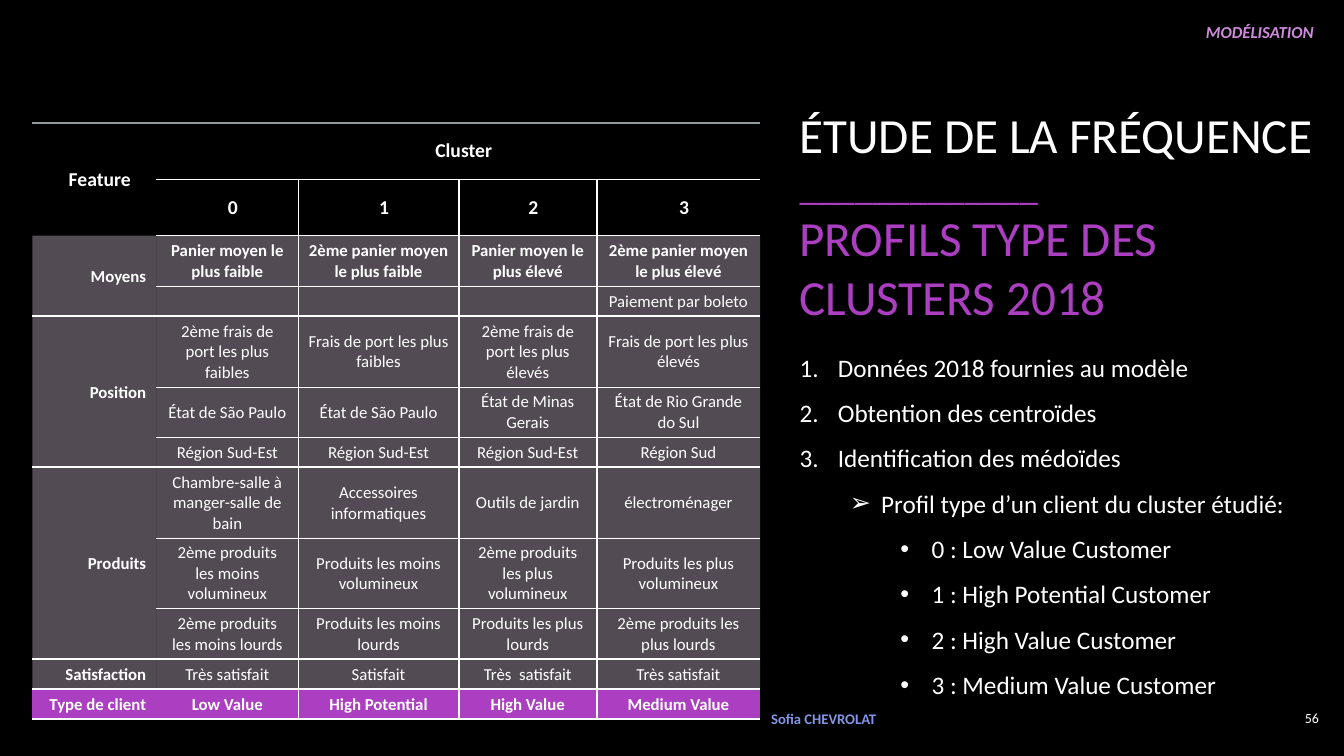
from lxml import etree
from pptx import Presentation
from pptx import util as u
from pptx.dml.color import RGBColor
from pptx.enum import text
from pptx.oxml import ns

Inches, Pt = u.Inches, u.Pt
FONT = "Calibri"
BLACK = RGBColor(0x00, 0x00, 0x00)
WHITE = RGBColor(0xFF, 0xFF, 0xFF)
PURPLE = RGBColor(0xAC, 0x3E, 0xC1)
LILAC = RGBColor(0xCD, 0x8B, 0xDA)
PALE = RGBColor(0xEE, 0xD8, 0xF3)
BLUE = RGBColor(0x83, 0x94, 0xE4)
GREY = RGBColor(0x8F, 0x9A, 0x9D)
LEFT, CENTER, RIGHT = text.PP_ALIGN.LEFT, text.PP_ALIGN.CENTER, text.PP_ALIGN.RIGHT
MIDDLE, TOP = text.MSO_ANCHOR.MIDDLE, text.MSO_ANCHOR.TOP
NO_GRID = "{2D5ABB26-0587-4C30-8999-92F81FD0307C}"
HEAVY, THIN = 1.5, 0.25

COLUMNS = [1.23, 1.41, 1.59, 1.37, 1.62]
HEIGHTS = [0.56, 0.55, 0.5, 0.3, 0.7, 0.5, 0.3, 0.7, 0.7, 0.5, 0.3, 0.3]
ROWS = [
    ["Feature", "Cluster", "", "", ""],
    ["", "0", "1", "2", "3"],
    ["Moyens", "Panier moyen le plus faible", "2ème panier moyen le plus faible",
     "Panier moyen le plus élevé", "2ème panier moyen le plus élevé"],
    ["", "", "", "", "Paiement par boleto"],
    ["Position", "2ème frais de port les plus faibles", "Frais de port les plus faibles",
     "2ème frais de port les plus élevés", "Frais de port les plus élevés"],
    ["", "État de São Paulo", "État de São Paulo", "État de Minas Gerais",
     "État de Rio Grande do Sul"],
    ["", "Région Sud-Est", "Région Sud-Est", "Région Sud-Est", "Région Sud"],
    ["Produits", "Chambre-salle à manger-salle de bain", "Accessoires informatiques",
     "Outils de jardin", "électroménager"],
    ["", "2ème produits les moins volumineux", "Produits les moins volumineux",
     "2ème produits les plus volumineux", "Produits les plus volumineux"],
    ["", "2ème produits les moins lourds", "Produits les moins lourds",
     "Produits les plus lourds", "2ème produits les plus lourds"],
    ["Satisfaction", "Très satisfait", "Satisfait", "Très  satisfait", "Très satisfait"],
    ["Type de client", "Low Value", "High Potential", "High Value", "Medium Value"],
]
MERGES = [((0, 0), (1, 0)), ((0, 1), (0, 4)), ((2, 0), (3, 0)),
          ((4, 0), (6, 0)), ((7, 0), (9, 0))]
GROUP_ENDS = {3, 6, 9, 10, 11}
HEADER_ROWS, LAST_ROW, LAST_COLUMN = 2, len(ROWS) - 1, len(COLUMNS) - 1

STEPS = ["Données 2018 fournies au modèle", "Obtention des centroïdes",
         "Identification des médoïdes"]
PROFILES = ["0 : Low Value Customer", "1 : High Potential Customer",
            "2 : High Value Customer", "3 : Medium Value Customer"]


def add_span(para, words, size, color, bold=False, italic=False):
    span = para.add_run()
    span.text = words
    font = span.font
    font.name, font.size, font.bold, font.italic = FONT, Pt(size), bold, italic
    font.color.rgb = color


def place(box, left, top, width, height, anchor):
    box.left, box.top = Inches(left), Inches(top)
    box.width, box.height = Inches(width), Inches(height)
    frame = box.text_frame
    frame.word_wrap = True
    frame.auto_size = text.MSO_AUTO_SIZE.NONE
    frame.vertical_anchor = anchor
    return frame


def add_label(page, words, area, size, color, align=LEFT, anchor=MIDDLE, **style):
    box = page.shapes.add_textbox(0, 0, 0, 0)
    para = place(box, *area, anchor).paragraphs[0]
    para.alignment = align
    add_span(para, words, size, color, **style)


def fill_title(title):
    frame = place(title, 7.83, 0.69, 5.31, 2.89, MIDDLE)
    heading, subject = frame.paragraphs[0], frame.add_paragraph()
    heading.alignment = subject.alignment = LEFT
    add_span(heading, "ÉTUDE DE LA FRÉQUENCE", 35.1, WHITE)
    heading.add_line_break()
    line_break = heading._p.find(ns.qn("a:br"))
    etree.SubElement(line_break, ns.qn("a:rPr"), sz="3510")
    add_span(heading, "_" * 13, 26.3, PURPLE)
    add_span(subject, "PROFILS TYPE DES CLUSTERS 2018", 35.1, PURPLE)


def add_item(para, words, level, margin, hanging, tag, **bullet):
    para.level = level
    props = para._p.get_or_add_pPr()
    props.set("marL", str(Inches(margin)))
    props.set("indent", str(-Inches(hanging)))
    etree.SubElement(props, ns.qn(tag), **bullet)
    para.line_spacing = 1.5
    para.space_before = Pt(0)
    para.alignment = LEFT
    add_span(para, words, 18, WHITE)


def fill_body(body):
    frame = place(body, 7.83, 3.29, 5.23, 3.69, TOP)
    for index, step in enumerate(STEPS):
        para = frame.add_paragraph() if index else frame.paragraphs[0]
        add_item(para, step, 0, 0.38, 0.38, "a:buAutoNum", type="arabicPeriod")
    add_item(frame.add_paragraph(), "Profil type d’un client du cluster étudié:",
             1, 0.81, 0.31, "a:buChar", char="➢")
    for profile in PROFILES:
        add_item(frame.add_paragraph(), profile, 2, 1.31, 0.31, "a:buChar", char="•")


def add_alpha(color_element, percent):
    etree.SubElement(color_element, ns.qn("a:alpha"), val=str(percent * 1000))


def add_border(cell, side, width, color=WHITE, opacity=100):
    props = cell._tc.get_or_add_tcPr()
    line = etree.SubElement(props, ns.qn("a:ln" + side), w=str(Pt(width)))
    solid = etree.SubElement(line, ns.qn("a:solidFill"))
    tint = etree.SubElement(solid, ns.qn("a:srgbClr"), val=str(color))
    if opacity < 100:
        add_alpha(tint, opacity)


def bottom_width(row, column, merged):
    if row in GROUP_ENDS or (column == 0 and row >= HEADER_ROWS and merged):
        return HEAVY
    return THIN if column and row != 1 else 0


def draw_borders(cell, row, column):
    if row and column > 1:
        add_border(cell, "L", HEAVY)
    if row and 0 < column < LAST_COLUMN:
        add_border(cell, "R", HEAVY)
    if row == 0:
        add_border(cell, "T", HEAVY, GREY, 60)
    else:
        above = bottom_width(row - 1, column, False)
        if above:
            add_border(cell, "T", above)
    below = bottom_width(row, column, cell.is_merge_origin)
    if below:
        add_border(cell, "B", below)


def paint(cell, row):
    if row < HEADER_ROWS:
        cell.fill.background()
        return
    cell.fill.solid()
    cell.fill.fore_color.rgb = PURPLE if row == LAST_ROW else PALE
    if row != LAST_ROW:
        solid = cell._tc.tcPr.find(ns.qn("a:solidFill"))
        add_alpha(solid.find(ns.qn("a:srgbClr")), 35)


def write_cell(cell, words, row, column):
    header = row < HEADER_ROWS
    if header:
        cell.margin_left = Inches(0.27)
        cell.margin_right = cell.margin_top = cell.margin_bottom = Inches(0.16)
    else:
        cell.margin_top, cell.margin_bottom = Inches(0.05), Inches(0.04)
    cell.vertical_anchor = MIDDLE
    para = cell.text_frame.paragraphs[0]
    para.alignment = CENTER if header or column else RIGHT
    if words:
        bold = header or column == 0 or row in (HEADER_ROWS, LAST_ROW)
        add_span(para, words, 14 if header else 12, WHITE, bold)
    else:
        etree.SubElement(para._p, ns.qn("a:endParaRPr"), sz="1200")


def add_cluster_table(page):
    frame = page.shapes.add_table(len(ROWS), len(COLUMNS), Inches(0.32), Inches(1.22),
                                  Inches(sum(COLUMNS)), Inches(sum(HEIGHTS)))
    table = frame.table
    table.first_row = table.horz_banding = False
    table._tbl.tblPr.find(ns.qn("a:tableStyleId")).text = NO_GRID
    for column, width in zip(table.columns, COLUMNS):
        column.width = Inches(width)
    for row, height in zip(table.rows, HEIGHTS):
        row.height = Inches(height)
    for start, end in MERGES:
        table.cell(*start).merge(table.cell(*end))
    for row, entries in enumerate(ROWS):
        for column, words in enumerate(entries):
            cell = table.cell(row, column)
            write_cell(cell, words, row, column)
            draw_borders(cell, row, column)
            paint(cell, row)


def main():
    deck = Presentation()
    deck.slide_width, deck.slide_height = Inches(13.33), Inches(7.5)
    page = deck.slides.add_slide(deck.slide_layouts[1])
    page.background.fill.solid()
    page.background.fill.fore_color.rgb = BLACK
    fill_title(page.shapes.title)
    fill_body(page.placeholders[1])
    add_cluster_table(page)
    add_label(page, "56", (12.58, 6.92, 0.6, 0.41), 10, WHITE, RIGHT)
    add_label(page, "Sofia CHEVROLAT", (7.55, 6.92, 1.76, 0.41), 10.5, BLUE, bold=True)
    add_label(page, "MODÉLISATION", (7.67, 0.17, 5.46, 0.3), 12, LILAC, RIGHT, TOP,
              bold=True, italic=True)
    deck.save("out.pptx")


if __name__ == "__main__":
    main()
